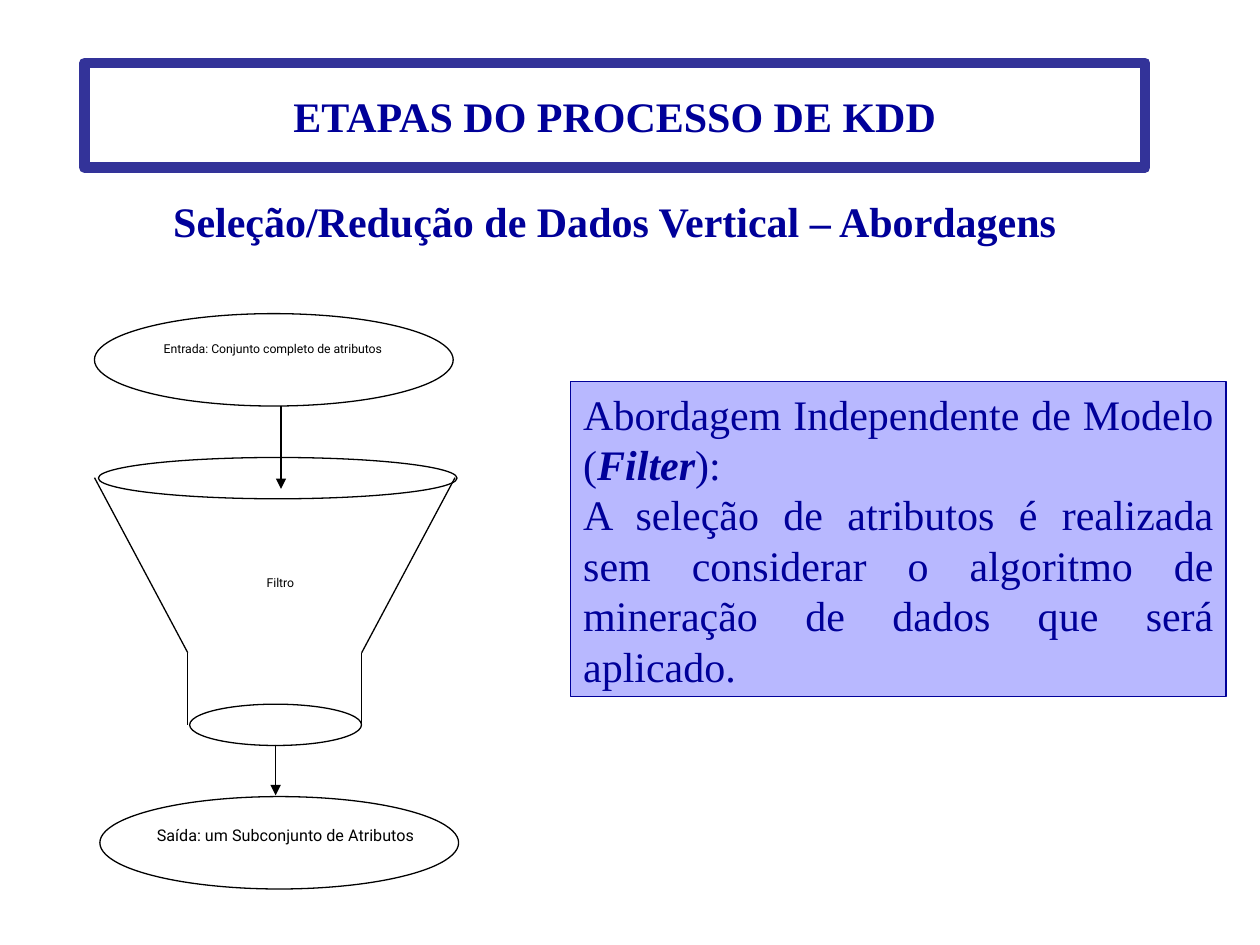
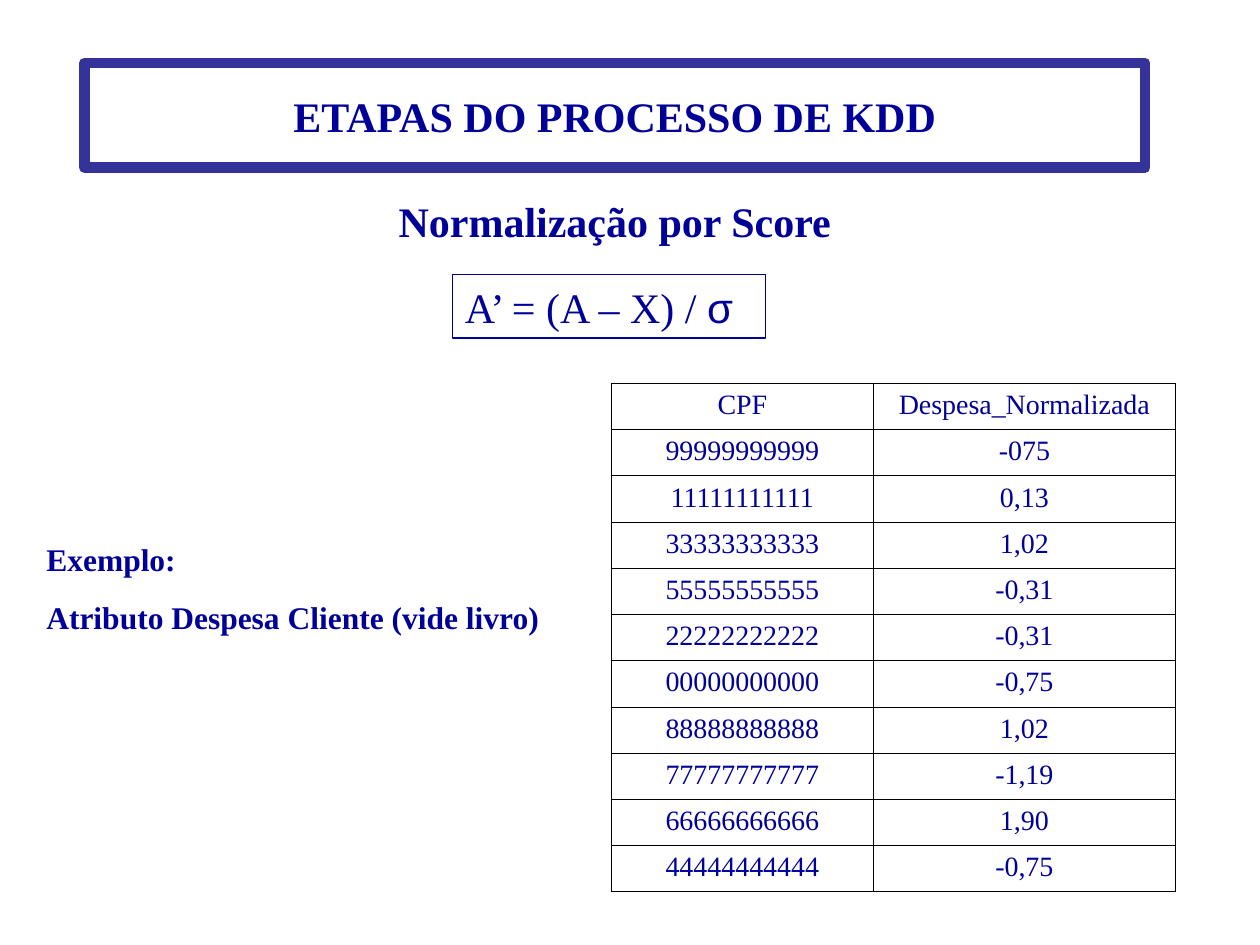
from dataclasses import dataclass

from lxml.etree import SubElement
from pptx import Presentation
from pptx.dml.color import RGBColor
from pptx.enum.shapes import MSO_CONNECTOR, MSO_SHAPE
from pptx.enum.text import MSO_ANCHOR, PP_ALIGN
from pptx.oxml.ns import qn
from pptx.util import Pt


@dataclass(frozen=True)
class Theme:
    serif: str = "Times New Roman"
    diagram_font: str = "Roboto"
    symbol_font: str = "Arial"
    navy: RGBColor = RGBColor(0x00, 0x00, 0x99)
    frame: RGBColor = RGBColor(0x33, 0x33, 0x99)
    lilac: RGBColor = RGBColor(0xB8, 0xB8, 0xFF)
    black: RGBColor = RGBColor(0x00, 0x00, 0x00)
    heading: float = 24
    example: float = 18
    cell: float = 16
    output_label: float = 9.2
    small_label: float = 7
    thin: float = 0.75
    thick: float = 6
    grid: float = 0.45


T = Theme()


# Text
def style(p, size=T.heading, bold=False, font=T.serif, color=T.navy,
          align=PP_ALIGN.LEFT):
    p.alignment = align
    p.font.name, p.font.size, p.font.bold = font, Pt(size), bold
    p.font.color.rgb = color


def add_runs(p, *texts):
    runs = []
    for text in texts:
        r = p.add_run()
        r.text = text
        runs.append(r)
    return runs


def add_text(shapes, box, lines, gap=0, spacing=None, **look):
    tf = shapes.add_textbox(*map(Pt, box)).text_frame
    tf.word_wrap = True
    for i, line in enumerate(lines):
        p = tf.paragraphs[0] if i == 0 else tf.add_paragraph()
        add_runs(p, line)
        if i:
            p.space_before = Pt(gap)
        if spacing:
            p.line_spacing = spacing
        style(p, **look)


def add_label(shapes, box, text, size=T.small_label, spacing=0.8):
    add_text(shapes, box, [text], spacing=spacing, size=size,
             font=T.diagram_font, color=T.black, align=PP_ALIGN.CENTER)


# Shapes and lines
def add_outline(shapes, kind, box, line=T.black, width=T.thin, fill=None):
    s = shapes.add_shape(kind, *map(Pt, box))
    s.shadow.inherit = False
    if fill is None:
        s.fill.background()
    else:
        s.fill.solid()
        s.fill.fore_color.rgb = fill
    s.line.color.rgb, s.line.width = line, Pt(width)
    s.text_frame.vertical_anchor = MSO_ANCHOR.MIDDLE
    return s


def add_line(shapes, start, end, arrow=False):
    c = shapes.add_connector(MSO_CONNECTOR.STRAIGHT, *map(Pt, start + end))
    c.line.color.rgb, c.line.width = T.black, Pt(T.thin)
    if arrow:
        SubElement(c.line._get_or_add_ln(), qn("a:tailEnd"), type="triangle")
    SubElement(c._element.spPr, qn("a:effectLst"))


# Table
def add_borders(cell):
    tc_pr = cell._tc.get_or_add_tcPr()
    for side in "LRTB":
        ln = SubElement(tc_pr, qn(f"a:ln{side}"), w=str(Pt(T.grid)))
        fill = SubElement(ln, qn("a:solidFill"))
        SubElement(fill, qn("a:srgbClr"), val=str(T.black))


def add_grid(shapes, left, top, widths, row_height, rows):
    frame = shapes.add_table(len(rows), len(widths), Pt(left), Pt(top),
                             Pt(sum(widths)), Pt(row_height * len(rows)))
    table = frame.table
    table.first_row = table.horz_banding = False
    for column, width in zip(table.columns, widths):
        column.width = Pt(width)
    for i, row in enumerate(rows):
        table.rows[i].height = Pt(row_height)
        for j, value in enumerate(row):
            cell = table.cell(i, j)
            add_borders(cell)
            cell.fill.background()
            p = cell.text_frame.paragraphs[0]
            add_runs(p, value)
            style(p, T.cell, align=PP_ALIGN.CENTER)


# Shared title and subtitle
def new_slide(prs, subtitle):
    shapes = prs.slides.add_slide(prs.slide_layouts[6]).shapes
    s = add_outline(shapes, MSO_SHAPE.RECTANGLE, (48.2, 36, 606.2, 59.8),
                    T.frame, T.thick)
    p = s.text_frame.paragraphs[0]
    add_runs(p, "ETAPAS DO PROCESSO DE KDD")
    style(p, bold=True, align=PP_ALIGN.CENTER)
    add_text(shapes, (36.7, 108, 629.3, 36), [subtitle], bold=True,
             align=PP_ALIGN.CENTER)
    return shapes


def add_funnel(shapes):
    # Input, output, rim and outlet
    for box in ((54, 179.2, 205, 52.8), (57.1, 455.2, 205, 52.8),
                (56.2, 261.4, 205, 23.6), (108.4, 402.4, 98.2, 23.6)):
        add_outline(shapes, MSO_SHAPE.OVAL, box)

    # Sloping sides and neck
    center, rim_y, shoulder_y, outlet_y = 157, 273, 373, 414.4
    for side in (-1, 1):
        rim_x, neck_x = center + side * 103, center + side * 49.7
        add_line(shapes, (rim_x, rim_y), (neck_x, shoulder_y))
        add_line(shapes, (neck_x, shoulder_y), (neck_x, outlet_y))

    # Flow arrows
    add_line(shapes, (160.6, 232), (160.6, 279.4), arrow=True)
    add_line(shapes, (157.5, 425.5), (157.5, 454.5), arrow=True)

    add_label(shapes, (74.9, 193, 162, 26), "Entrada: Conjunto completo de atributos")
    add_label(shapes, (79.2, 327, 162, 16.6), "Filtro")
    add_label(shapes, (77.8, 469.4, 170.6, 26), "Saída: um Subconjunto de Atributos",
              T.output_label, 0.9)


def build_filter_slide(prs):
    shapes = new_slide(prs, "Seleção/Redução de Dados Vertical – Abordagens")
    add_funnel(shapes.add_group_shape().shapes)

    # Explanation of the approach
    s = add_outline(shapes, MSO_SHAPE.RECTANGLE, (326.2, 218.2, 374.4, 180),
                    T.navy, fill=T.lilac)
    tf = s.text_frame
    tf.word_wrap = True
    p = tf.paragraphs[0]
    _, name, _ = add_runs(p, "Abordagem Independente de Modelo (", "Filter", "):")
    name.font.bold = name.font.italic = True
    add_runs(tf.add_paragraph(),
             "A seleção de atributos é realizada sem considerar o algoritmo "
             "de mineração de dados que será aplicado.")
    for p in tf.paragraphs:
        style(p, align=PP_ALIGN.JUSTIFY)


def build_score_slide(prs):
    shapes = new_slide(prs, "Normalização por Score")

    # Formula
    s = add_outline(shapes, MSO_SHAPE.RECTANGLE, (258.6, 157, 178.8, 36.2), T.navy)
    s.text_frame.word_wrap = False
    p = s.text_frame.paragraphs[0]
    _, sigma = add_runs(p, "A’ = (A – X) / ", "σ")
    sigma.font.name = T.symbol_font
    style(p)

    # Example
    add_text(shapes, (19.4, 305.3, 317.5, 62),
             ["Exemplo:", "Atributo Despesa Cliente (vide livro)"],
             gap=11.2, size=T.example, bold=True)
    expenses = [
        ("CPF", "Despesa_Normalizada"),
        ("99999999999", "-075"),
        ("11111111111", "0,13"),
        ("33333333333", "1,02"),
        ("55555555555", "-0,31"),
        ("22222222222", "-0,31"),
        ("00000000000", "-0,75"),
        ("88888888888", "1,02"),
        ("77777777777", "-1,19"),
        ("66666666666", "1,90"),
        ("44444444444", "-0,75"),
    ]
    add_grid(shapes, 349.2, 219, (150, 172.4), 26.4, expenses)


def main():
    prs = Presentation()
    prs.slide_width, prs.slide_height = Pt(720), Pt(540)
    build_filter_slide(prs)
    build_score_slide(prs)
    prs.save("out.pptx")


if __name__ == "__main__":
    main()
